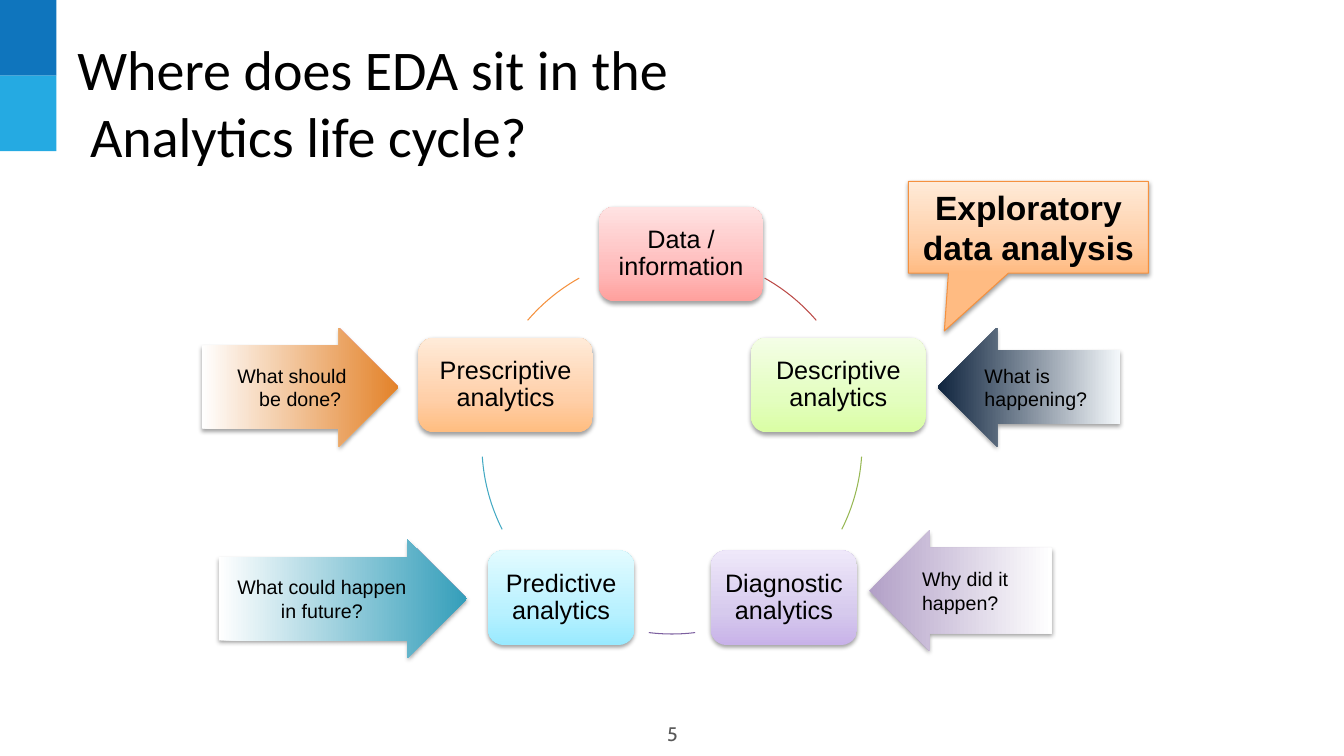
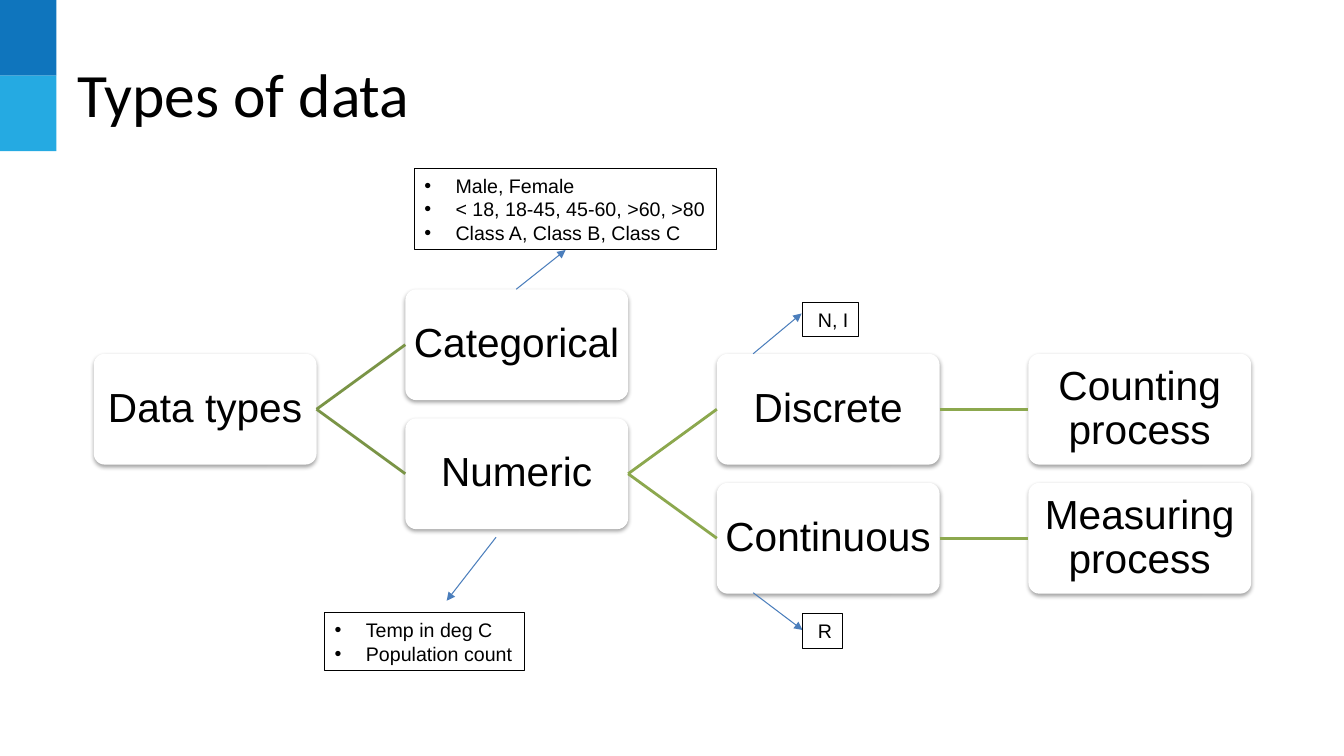
from lxml.etree import SubElement
from pptx import Presentation
from pptx.dml.color import RGBColor
from pptx.enum.shapes import MSO_CONNECTOR, MSO_SHAPE
from pptx.enum.text import MSO_ANCHOR, MSO_AUTO_SIZE, PP_ALIGN
from pptx.oxml.ns import qn
from pptx.util import Inches, Pt

BLACK, WHITE = "000000", "FFFFFF"
BANDS = ["0F75BD", "25AAE2"]
TITLE_FONT, BODY_FONT, NUMBER_FONT = "Calibri", "Arial", "Cabin"
LEFT, CENTER, RIGHT = PP_ALIGN.LEFT, PP_ALIGN.CENTER, PP_ALIGN.RIGHT


def paint(shape, stops=(), angle=270, line=None, shadow=False):
    shape.shadow.inherit = False
    properties = shape._element.spPr
    if not stops:
        shape.fill.background()
    elif len(stops) == 1:
        shape.fill.solid()
        shape.fill.fore_color.rgb = RGBColor.from_string(stops[0])
    else:
        shape.fill.gradient()
        gradient = properties.find(qn("a:gradFill"))
        gradient.find(qn("a:lin")).set("ang", str(angle * 60000))
        stop_list = gradient.find(qn("a:gsLst"))
        stop_list.clear()
        places = [0, 35, 100] if len(stops) == 3 else [0, 100]
        for place, color in zip(places, stops):
            stop = SubElement(stop_list, qn("a:gs"), pos=str(place * 1000))
            SubElement(stop, qn("a:srgbClr"), val=color)
    if line:
        shape.line.color.rgb = RGBColor.from_string(line)
        shape.line.width = Pt(0.75)
    else:
        shape.line.fill.background()
    if shadow:
        outer = SubElement(properties.find(qn("a:effectLst")), qn("a:outerShdw"),
                           blurRad="40000", dist="21000", dir="5400000", rotWithShape="0")
        color = SubElement(outer, qn("a:srgbClr"), val=BLACK)
        SubElement(color, qn("a:alpha"), val="37000")


def write(shape, lines, size, align=LEFT, font=BODY_FONT, color=BLACK, bold=False,
          spacing=1.0, inset=(0.1, 0.05), bullets=False):
    frame = shape.text_frame
    frame.word_wrap = True
    frame.vertical_anchor = MSO_ANCHOR.MIDDLE
    frame.margin_left = frame.margin_right = Inches(inset[0])
    frame.margin_top = frame.margin_bottom = Inches(inset[1])
    for index, line in enumerate(lines):
        para = frame.add_paragraph() if index else frame.paragraphs[0]
        para.alignment = align
        para.line_spacing = spacing
        if bullets:
            settings = para._p.get_or_add_pPr()
            settings.set("marL", str(Inches(0.31)))
            settings.set("indent", str(Inches(-0.31)))
            SubElement(settings, qn("a:buFont"), typeface=BODY_FONT)
            SubElement(settings, qn("a:buChar"), char="•")
        for number, part in enumerate(line.split("\n")):
            if number:
                para.add_line_break()
            span = para.add_run()
            span.text = part
            span.font.size = Pt(size)
            span.font.name = font
            span.font.bold = bold
            span.font.color.rgb = RGBColor.from_string(color)


deck = Presentation()
deck.slide_width, deck.slide_height = Inches(13.33), Inches(7.5)

titles = [
    ("Where does EDA sit in the\n Analytics life cycle?", 40, 0.38),
    ("Types of data", 44, 0.3),
]
pages = []
for title, size, top in titles:
    page = deck.slides.add_slide(deck.slide_layouts[6])
    for index, color in enumerate(BANDS):
        band = page.shapes.add_shape(MSO_SHAPE.RECTANGLE, 0, Inches(0.75 * index),
                                     Inches(0.56), Inches(0.75))
        paint(band, [color])
    box = page.shapes.add_textbox(Inches(0.67), Inches(top), Inches(12), Inches(1.25))
    write(box, [title], size, font=TITLE_FONT)
    pages.append(page)
cycle_page, tree_page = pages

number_box = cycle_page.shapes.add_textbox(Inches(4.56), Inches(7.08), Inches(4.22), Inches(0.4))
write(number_box, ["5"], 14, CENTER, NUMBER_FONT, "595959")

stages = [
    ("Data / information", 5.94, 2.05, 1.63, ["FFA09D", "FFBCBC", "FFE2E2"], "BC4B48", 299.2, 319.4),
    ("Descriptive analytics", 7.45, 3.35, 1.73, ["DAFEA4", "E3FEBF", "F4FEE6"], "97B853", 3.8, 26.7),
    ("Diagnostic analytics", 7.05, 5.46, 1.45, ["C8B2E9", "D6CAED", "EFE8FA"], "7C5F9F", 83, 97),
    ("Predictive analytics", 4.84, 5.46, 1.45, ["99EAFF", "B8F1FF", "E2FBFF"], "43A9C3", 153.3, 176.2),
    ("Prescriptive analytics", 4.15, 3.35, 1.73, ["FFBD80", "FFCFA8", "FFEBD9"], "F5903C", 220.6, 240.8),
]
for name, left, top, width, stops, line, start, end in stages:
    stage = cycle_page.shapes.add_shape(MSO_SHAPE.ROUNDED_RECTANGLE, Inches(left), Inches(top),
                                        Inches(width), Inches(0.94))
    paint(stage, stops, shadow=True)
    write(stage, [name], 18, CENTER, spacing=0.9, inset=(0.07, 0.07))
    arc = cycle_page.shapes.add_shape(MSO_SHAPE.ARC, Inches(4.78), Inches(2.52),
                                      Inches(3.77), Inches(3.77))
    arc.adjustments[0], arc.adjustments[1] = start * 0.6, end * 0.6
    paint(arc, line=line)

questions = [
    ("What is happening?", MSO_SHAPE.LEFT_ARROW, 9.3, 3.25, 1.81, 1.18, 0.62, ["F4F8FB", "0F243E"], 180, LEFT),
    ("Why did it happen?", MSO_SHAPE.LEFT_ARROW, 8.62, 5.26, 1.81, 1.2, 0.71, ["B2A0C7", WHITE], 0, LEFT),
    ("What could happen in future?", MSO_SHAPE.RIGHT_ARROW, 2.17, 5.35, 2.46, 1.18, 0.7, [WHITE, "349EBA"], 0, CENTER),
    ("What should be done? ", MSO_SHAPE.RIGHT_ARROW, 2, 3.25, 1.95, 1.18, 0.7, [WHITE, "E38229"], 0, RIGHT),
]
for question, kind, left, top, width, height, shaft, stops, angle, align in questions:
    arrow = cycle_page.shapes.add_shape(kind, Inches(left), Inches(top), Inches(width), Inches(height))
    arrow.adjustments[0], arrow.adjustments[1] = shaft, 0.5
    paint(arrow, stops, angle, shadow=True)
    write(arrow, [question], 14, align)

callout = cycle_page.shapes.add_shape(MSO_SHAPE.RECTANGULAR_CALLOUT, Inches(9.01), Inches(1.8),
                                      Inches(2.38), Inches(0.91))
callout.adjustments[0], callout.adjustments[1] = -0.35, 1.13
paint(callout, ["FFBB82", "FFCFA8", "FFEBD9"], line="F5913F", shadow=True)
write(callout, ["Exploratory data analysis"], 24, CENTER, bold=True)

NODE_WIDTH, NODE_HEIGHT = 2.21, 1.1
COLUMN_STEP, ROW_STEP = 3.09, 0.64
nodes = {
    "Data types": (0, 1),
    "Categorical": (1, 0),
    "Numeric": (1, 2),
    "Discrete": (2, 1),
    "Continuous": (2, 3),
    "Counting process": (3, 1),
    "Measuring process": (3, 3),
}
corners = {name: (0.93 + COLUMN_STEP * column, 2.87 + ROW_STEP * row)
           for name, (column, row) in nodes.items()}
for name, (left, top) in corners.items():
    node = tree_page.shapes.add_shape(MSO_SHAPE.ROUNDED_RECTANGLE, Inches(left), Inches(top),
                                      Inches(NODE_WIDTH), Inches(NODE_HEIGHT))
    node.adjustments[0] = 0.1
    paint(node, [WHITE], shadow=True)
    write(node, [name], 29, CENTER, spacing=0.9, inset=(0.02, 0.02))

branches = [
    ("Data types", "Categorical", "7A9446"),
    ("Data types", "Numeric", "7A9446"),
    ("Numeric", "Discrete", "8CA84E"),
    ("Numeric", "Continuous", "8CA84E"),
    ("Discrete", "Counting process", "8CA84E"),
    ("Continuous", "Measuring process", "8CA84E"),
]
links = []
for parent, child, color in branches:
    (parent_left, parent_top), (child_left, child_top) = corners[parent], corners[child]
    links.append((parent_left + NODE_WIDTH, parent_top + NODE_HEIGHT / 2,
                  child_left, child_top + NODE_HEIGHT / 2, color, 2, False))
pointers = [(5.12, 2.87, 5.61, 2.48), (4.92, 5.33, 4.43, 5.96),
            (7.47, 3.51, 7.95, 3.11), (7.47, 5.88, 7.96, 6.25)]
links += [(*ends, "4B7EBC", 0.75, True) for ends in pointers]
for x1, y1, x2, y2, color, width, pointed in links:
    link = tree_page.shapes.add_connector(MSO_CONNECTOR.STRAIGHT, Inches(x1), Inches(y1),
                                          Inches(x2), Inches(y2))
    link.line.color.rgb = RGBColor.from_string(color)
    link.line.width = Pt(width)
    if pointed:
        SubElement(link.line._get_or_add_ln(), qn("a:tailEnd"), type="triangle")
    SubElement(link._element.spPr, qn("a:effectLst"))

examples = [
    (["Male, Female", "< 18, 18-45, 45-60, >60, >80", "Class A, Class B, Class C"], 4.11, 1.67, 3, 0.81),
    (["Temp in deg C", "Population count"], 3.22, 6.08, 1.98, 0.57),
    ([" R"], 7.96, 6.09, 0.4, 0.34),
    ([" N, I"], 7.96, 3, 0.56, 0.34),
]
for lines, left, top, width, height in examples:
    box = tree_page.shapes.add_shape(MSO_SHAPE.RECTANGLE, Inches(left), Inches(top),
                                     Inches(width), Inches(height))
    paint(box, line=BLACK)
    write(box, lines, 14, bullets=len(lines) > 1)
    box.text_frame.word_wrap = False
    box.text_frame.auto_size = MSO_AUTO_SIZE.SHAPE_TO_FIT_TEXT

deck.save("out.pptx")
